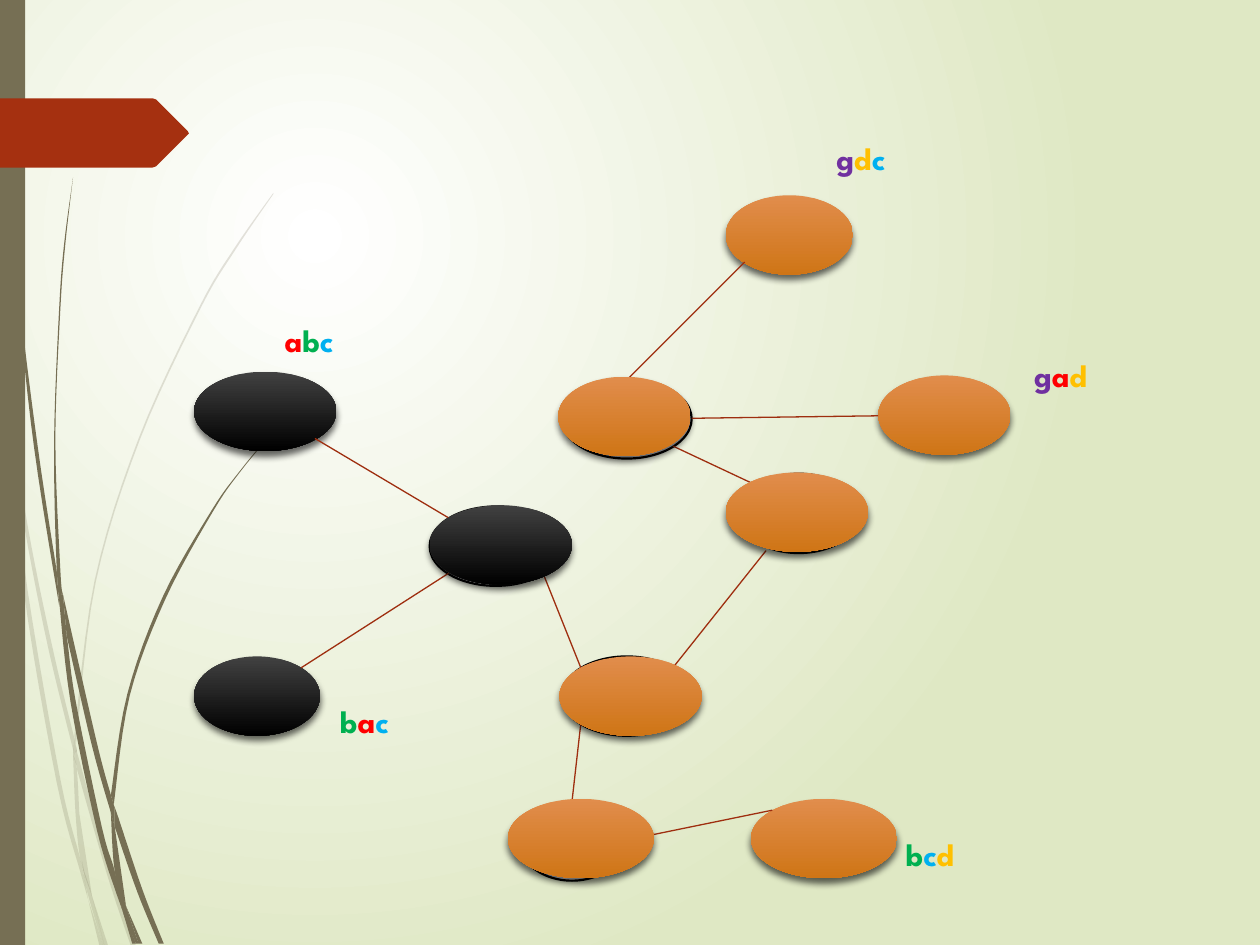
"""Build a slide with a graph of dark and orange nodes labelled by coloured letters."""
from lxml import etree
from pptx import Presentation
from pptx.dml.color import RGBColor
from pptx.enum import shapes, text
from pptx.oxml import ns
from pptx.util import Inches, Pt

OLIVE, RED, LINK, BLACK = "766F54", "A53010", "9E2E0F", "000000"
DARK, ORANGE, PAGE = ("414141", BLACK), ("E18D4C", "CF7516"), ("FFFFFF", "DFE8C4")
LETTERS = {"a": "FF0000", "b": "00B050", "c": "00B0F0", "d": "FFC000", "g": "7030A0"}

# Each blade of grass is a pair of rails: one side going out, the other coming back.
PALE_BLADES = [
    ([(.08, 3.5), (.06, 3.22), (0, 2.82)], [(0, 2.99), (.07, 3.44)]),
    ([(.59, 5.86), (.43, 5.2), (.25, 4.34), (.1, 3.45)],
     [(.12, 3.76), (.25, 4.49), (.4, 5.22), (.59, 5.99)]),
    ([(.61, 5.96), (.64, 6.07), (.88, 6.92), (1.08, 7.51)], [(1.04, 7.51), (.85, 6.94), (.61, 6.1)]),
    ([(.83, 7.51), (.86, 7.51)], [(.73, 7.11)]),
    ([(.08, 3.5), (.12, 3.76), (.22, 4.69), (.48, 6.19), (.64, 6.83), (.7, 7.14)],
     [(.64, 6.93), (.45, 6.21), (.19, 4.7), (.08, 3.5)]),
    ([(.58, 5.99), (.6, 6.46), (.64, 6.83), (.73, 7.11)], [(.63, 6.46), (.61, 6.1), (.58, 5.99)]),
    ([(.61, 5.96), (.61, 5.84), (.76, 4.62), (1.11, 3.49), (1.59, 2.45), (1.87, 1.98), (2.17, 1.54)],
     [(2.17, 1.53), (1.86, 1.97), (1.58, 2.44), (1.1, 3.48), (.75, 4.61), (.59, 5.84)]),
    ([(.7, 7.14), (.79, 7.51)], [(.82, 7.51)]),
    ([(.61, 6.08), (.61, 5.96), (.59, 5.86)], [(.58, 5.99)]),
    ([(.65, 6.83), (.69, 7.07), (.82, 7.51)], [(.83, 7.51), (.73, 7.11), (.67, 6.92)]),
]
DARK_BLADES = [
    ([(.02, 0), (.03, .48), (.05, 1.1), (.14, 2.33), (.27, 3.55), (.47, 4.81)],
     [(.45, 4.53), (.3, 3.55), (.15, 2.32), (.06, 1.09), (.04, .48), (.03, 0)]),
    ([(.5, 4.72), (.77, 5.9), (.88, 6.31)], [(.88, 6.45), (.73, 5.92), (.53, 5.05)]),
    ([(.91, 6.41), (.94, 6.49), (1.13, 7.06), (1.3, 7.49)], [(1.26, 7.49), (1.09, 7.08), (.91, 6.56)]),
    ([(.47, 4.77), (.53, 5.05), (.6, 5.56), (.81, 6.57), (.91, 6.91), (.97, 7.22)],
     [(.92, 7.08), (.77, 6.59), (.56, 5.57), (.47, 4.77)]),
    ([(.58, 1.41), (.51, 1.93), (.47, 2.45), (.43, 3.49), (.45, 4.49), (.49, 4.72)],
     [(.5, 4.72), (.48, 4.53), (.44, 3.49), (.48, 2.45), (.52, 1.93), (.58, 1.41)]),
    ([(1.1, 7.49), (1.13, 7.49)], [(1, 7.19)]),
    ([(.45, 4.49), (.47, 4.77), (.53, 5.05)], [(.5, 4.72), (.49, 4.72)]),
    ([(.91, 6.41), (.91, 6.33), (1.03, 5.52), (1.31, 4.76), (1.69, 4.06), (1.91, 3.74), (2.16, 3.44)],
     [(2.15, 3.44), (1.91, 3.73), (1.68, 4.05), (1.29, 4.74), (1.01, 5.51), (.88, 6.31)]),
    ([(.97, 7.22), (1.05, 7.49)], [(1.08, 7.49)]),
    ([(.88, 6.45), (.91, 6.91), (1, 7.19)], [(.91, 6.56), (.88, 6.45)]),
    ([(.88, 6.45), (.91, 6.56)], [(.91, 6.41), (.88, 6.31)]),
    ([(.91, 6.91), (.97, 7.22), (1.08, 7.49)], [(1.1, 7.49), (1, 7.19), (.96, 7.06)]),
]
MARKER = [(0, .78), (1.21, .78), (1.24, .79), (1.49, 1.04), (1.5, 1.06),
          (1.49, 1.07), (1.24, 1.32), (1.21, 1.33), (0, 1.33)]

LEAVES = [(1.54, 2.95, 1.13, DARK), (1.54, 5.21, 1, DARK), (5.76, 1.55, 1.01, ORANGE),
          (6.97, 2.98, 1.05, ORANGE), (5.96, 6.34, 1.16, ORANGE)]
RINGS = [(3.41, 4.02, 1.05), (4.46, 3.01, 1.03), (5.86, 3.76, .96), (4.46, 5.21, 1.03), (4.12, 6.36, .84)]
HUBS = [(3.41, 4.01, 1.13, DARK), (4.44, 5.21, 1.13, ORANGE), (5.76, 3.75, 1.13, ORANGE),
        (4.03, 6.34, 1.16, ORANGE), (4.43, 2.99, 1.05, ORANGE)]
NODE_HEIGHT = .63
LINKS = [(2.5, 3.48, 3.56, 4.11), (2.39, 5.3, 3.56, 4.55), (4.31, 4.55, 4.61, 5.3),
         (5.34, 5.3, 6.08, 4.37), (5.34, 3.54, 6, 3.85), (5.49, 3.32, 6.97, 3.3),
         (4.98, 3.01, 5.91, 2.08), (4.61, 5.74, 4.54, 6.36), (4.96, 6.67, 6.13, 6.43)]
LABELS = [("abc", 2.16, 2.5, .88, .71), ("bac", 2.6, 5.52, 1.04, .4), ("gdc", 6.54, 1.05, 1.55, .71),
          ("gad", 8.11, 2.78, .97, .71), ("bcd", 7.09, 6.58, .97, .71)]


def rgb(code):
    return RGBColor.from_string(code)


def add_xml(parent, tag, **attributes):
    return etree.SubElement(parent, ns.qn(tag), {key: str(value) for key, value in attributes.items()})


def fill_gradient(fill, colours):
    fill.gradient()
    for stop, code in zip(fill.gradient_stops, colours):
        stop.color.rgb = rgb(code)


def fill_plain(shape, code, alpha=None):
    shape.shadow.inherit = False
    shape.fill.solid()
    shape.fill.fore_color.rgb = rgb(code)
    shape.line.fill.background()
    if alpha:
        solid = shape._element.spPr.find(ns.qn("a:solidFill"))
        add_xml(solid[0], "a:alpha", val=alpha * 1000)


def smooth(rail, steps=6):
    """Return points of a Catmull-Rom curve through the rail."""
    ends = [rail[0], *rail, rail[-1]]
    curve = [rail[0]]
    for before, start, end, after in zip(ends, ends[1:], ends[2:], ends[3:]):
        for step in range(1, steps + 1):
            t = step / steps
            curve.append(tuple(
                .5 * (2 * b + (c - a) * t + (2 * a - 5 * b + 4 * c - d) * t ** 2
                      + (3 * b - a - 3 * c + d) * t ** 3)
                for a, b, c, d in zip(before, start, end, after)))
    return curve


def add_outline(slide, points, code, alpha=None):
    corners = [(Inches(x), Inches(y)) for x, y in points]
    builder = slide.shapes.build_freeform(*corners[0])
    builder.add_line_segments(corners[1:], close=True)
    fill_plain(builder.convert_to_shape(), code, alpha)


def add_ellipse(slide, left, top, width):
    node = slide.shapes.add_shape(shapes.MSO_SHAPE.OVAL, Inches(left), Inches(top),
                                  Inches(width), Inches(NODE_HEIGHT))
    fill_plain(node, "FFFFFF")
    return node


def add_ring(slide, left, top, width):
    ring = add_ellipse(slide, left, top, width)
    ring.line.color.rgb = rgb(BLACK)
    ring.line.width = Pt(1.25)


def add_node(slide, left, top, width, colours):
    node = add_ellipse(slide, left, top, width)
    fill_gradient(node.fill, colours)
    node.fill.gradient_angle = 270
    effects = node._element.spPr.find(ns.qn("a:effectLst"))
    shadow = add_xml(effects, "a:outerShdw", blurRad=Pt(4), dist=Pt(3), dir=90 * 60000, rotWithShape=0)
    add_xml(add_xml(shadow, "a:srgbClr", val=BLACK), "a:alpha", val=60000)


def add_link(slide, ends):
    link = slide.shapes.add_connector(shapes.MSO_CONNECTOR.STRAIGHT, *map(Inches, ends))
    link.line.color.rgb = rgb(LINK)
    link.line.width = Pt(.75)
    add_xml(link._element.spPr, "a:effectLst")


def add_label(slide, word, *place):
    frame = slide.shapes.add_textbox(*map(Inches, place)).text_frame
    frame.word_wrap = True
    frame.auto_size = text.MSO_AUTO_SIZE.SHAPE_TO_FIT_TEXT
    for letter in word:
        run = frame.paragraphs[0].add_run()
        run.text = letter
        run.font.name, run.font.size, run.font.bold = "League Spartan", Pt(18), True
        run.font.color.rgb = rgb(LETTERS[letter])


def paint_background(slide):
    fill_gradient(slide.background.fill, PAGE)
    gradient = slide.background._cSld.find(".//" + ns.qn("a:gradFill"))
    gradient.remove(gradient.find(ns.qn("a:lin")))
    circle = add_xml(gradient, "a:path", path="circle")
    add_xml(circle, "a:fillToRect", l=50000, t=50000, r=100000, b=100000)


def main():
    deck = Presentation()
    deck.slide_width, deck.slide_height = Inches(10), Inches(7.5)
    slide = deck.slides.add_slide(deck.slide_layouts[6])
    paint_background(slide)
    for blades, alpha in ((PALE_BLADES, 20), (DARK_BLADES, None)):
        for out, back in blades:
            add_outline(slide, smooth(out) + smooth(back), OLIVE, alpha)
    bar = slide.shapes.add_shape(shapes.MSO_SHAPE.RECTANGLE, 0, 0, Inches(.2), deck.slide_height)
    fill_plain(bar, OLIVE)
    add_outline(slide, MARKER, RED)
    for ring in RINGS:
        add_ring(slide, *ring)
    for leaf in LEAVES:
        add_node(slide, *leaf)
    for ends in LINKS:
        add_link(slide, ends)
    for label in LABELS:
        add_label(slide, *label)
    for hub in HUBS:
        add_node(slide, *hub)
    deck.save("out.pptx")


if __name__ == "__main__":
    main()
